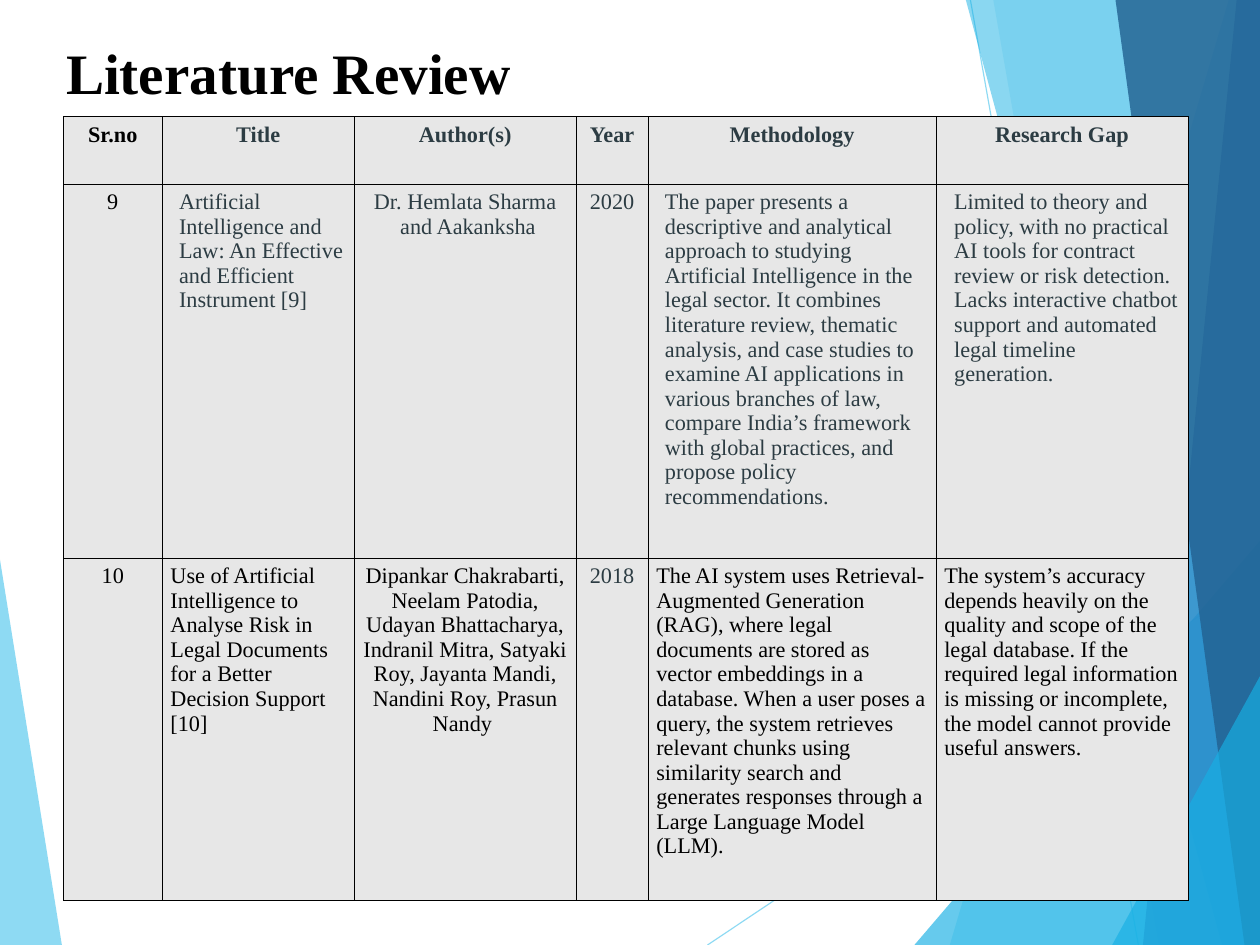
"""Build the literature review slide with its faceted backdrop and table."""
import pptx
import pptx.dml.color
import pptx.enum.text
import pptx.oxml
import pptx.oxml.ns
import pptx.util
from lxml import etree

Pt = pptx.util.Pt
RGB = pptx.dml.color.RGBColor
Align = pptx.enum.text.PP_ALIGN
qn = pptx.oxml.ns.qn

BLACK = RGB(0x00, 0x00, 0x00)
SLATE = RGB(0x2C, 0x3C, 0x43)
GREY = RGB(0xE7, 0xE7, 0xE7)
SKY = RGB(0x5F, 0xCB, 0xEF)
CYAN = RGB(0x17, 0xB0, 0xE4)
BLUE = RGB(0x2E, 0x83, 0xC3)
NAVY = RGB(0x23, 0x62, 0x92)
FONT = "Times New Roman"
WIDE, HIGH = 793.7, 595.28


def fade(shape, alpha):
    for color in shape.element.spPr.iter(qn("a:srgbClr")):
        etree.SubElement(color, qn("a:alpha"), val=str(alpha * 1000))


def style(para, size, color, bold):
    para.font.name = FONT
    para.font.size = Pt(size)
    para.font.color.rgb = color
    para.font.bold = bold


deck = pptx.Presentation()
deck.slide_width, deck.slide_height = Pt(WIDE), Pt(HIGH)
slide = deck.slides.add_slide(deck.slide_layouts[5])
shapes = slide.shapes

rays = [((445.7, HIGH), (WIDE, 362.5)), ((611.3, 0), (717.1, HIGH))]
for start, end in rays:
    ray = shapes.add_connector(1, *map(Pt, start + end))
    ray.line.color.rgb = SKY
    ray.line.width = Pt(0.75)
    fade(ray, 70)
    etree.SubElement(ray.element.spPr, qn("a:effectLst"))

facets = [
    (0, 352.5, 39, 0, SKY, 70),
    (774, 0, 598.3, WIDE, SKY, 36),
    (625.7, 0, 730, WIDE, SKY, 20),
    (WIDE, 340.6, 576, WIDE, CYAN, 66),
    (608.4, 0, 769.7, WIDE, CYAN, 50),
    (779, 0, 720, WIDE, BLUE, 70),
    (702.7, 0, 784, WIDE, NAVY, 82),
    (WIDE, 426, 700.6, WIDE, CYAN, 66),
]
for x, y, foot, edge, color, alpha in facets:
    path = shapes.build_freeform(Pt(x), Pt(y))
    path.add_line_segments(
        [(Pt(foot), Pt(HIGH)), (Pt(edge), Pt(HIGH)), (Pt(edge), Pt(y))])
    facet = path.convert_to_shape()
    facet.shadow.inherit = False
    facet.fill.solid()
    facet.fill.fore_color.rgb = color
    facet.line.fill.background()
    fade(facet, alpha)

title = shapes.title
title.left, title.top, title.width, title.height = map(Pt, (34.4, 19.4, 713.5, 46))
title.text = "Literature Review"
frame = title.text_frame
frame.auto_size = pptx.enum.text.MSO_AUTO_SIZE.NONE
frame.vertical_anchor = pptx.enum.text.MSO_ANCHOR.TOP
frame.margin_top, frame.margin_bottom = Pt(4), Pt(0)
frame.paragraphs[0].alignment = Align.LEFT
style(frame.paragraphs[0], 36, BLACK, True)
shapes.element.append(title.element)

rows = [
    ["Sr.no", "Title", "Author(s)", "Year", "Methodology", "Research Gap"],
    ["9",
     "Artificial Intelligence and Law: An Effective and Efficient Instrument [9]",
     "Dr. Hemlata Sharma\n and Aakanksha",
     "2020",
     "The paper presents a descriptive and analytical approach to studying "
     "Artificial Intelligence in the legal sector. It combines literature review, "
     "thematic analysis, and case studies to examine AI applications in various "
     "branches of law, compare India’s framework with global practices, and "
     "propose policy recommendations.",
     "Limited to theory and policy, with no practical AI tools for contract "
     "review or risk detection.\nLacks interactive chatbot support and automated "
     "legal timeline generation."],
    ["10",
     "Use of Artificial Intelligence to Analyse Risk in Legal Documents for a "
     "Better Decision Support [10]",
     "Dipankar Chakrabarti, Neelam Patodia, Udayan Bhattacharya, Indranil Mitra, "
     "Satyaki Roy, Jayanta Mandi, Nandini Roy, Prasun Nandy ",
     "2018",
     "The AI system uses Retrieval-Augmented Generation (RAG), where legal "
     "documents are stored as vector embeddings in a database. When a user poses "
     "a query, the system retrieves relevant chunks using similarity search and "
     "generates responses through a Large Language Model (LLM).",
     "The system’s accuracy depends heavily on the quality and scope of the legal "
     "database. If the required legal information is missing or incomplete, the "
     "model cannot provide useful answers."],
]
widths = [62.4, 120.9, 139.8, 45.4, 181.4, 158.7]
heights = [42.5, 235.6, 215.4]
box = shapes.add_table(len(rows), len(widths), Pt(40), Pt(73.5),
                       Pt(sum(widths)), Pt(sum(heights)))
table = box.table
table.first_row = table.horz_banding = False
for col, width in zip(table.columns, widths):
    col.width = Pt(width)
for row, height in zip(table.rows, heights):
    row.height = Pt(height)

for r, texts in enumerate(rows):
    for c, text in enumerate(texts):
        cell = table.cell(r, c)
        cell.text = text
        cell.margin_left, cell.margin_right = Pt(5), Pt(5.3)
        cell.margin_top = cell.margin_bottom = Pt(3.6)
        center = r == 0 or c in (0, 2, 3)
        dark = c == 0 or (r == 2 and c != 3)
        for para in cell.text_frame.paragraphs:
            para.alignment = Align.CENTER if center else Align.LEFT
            if r == 1 and not center:
                indent = 6.2 if c == 5 else 5.4
                para._p.get_or_add_pPr().set("marL", str(Pt(indent)))
            style(para, 14, BLACK if dark else SLATE, r == 0)
        props = cell._tc.get_or_add_tcPr()
        for side in ("a:lnL", "a:lnR", "a:lnT", "a:lnB"):
            line = etree.SubElement(props, qn(side), w=str(Pt(0.45)))
            fill = etree.SubElement(line, qn("a:solidFill"))
            etree.SubElement(fill, qn("a:srgbClr"), val=str(BLACK))
        cell.fill.solid()
        cell.fill.fore_color.rgb = GREY

deck.save("out.pptx")
